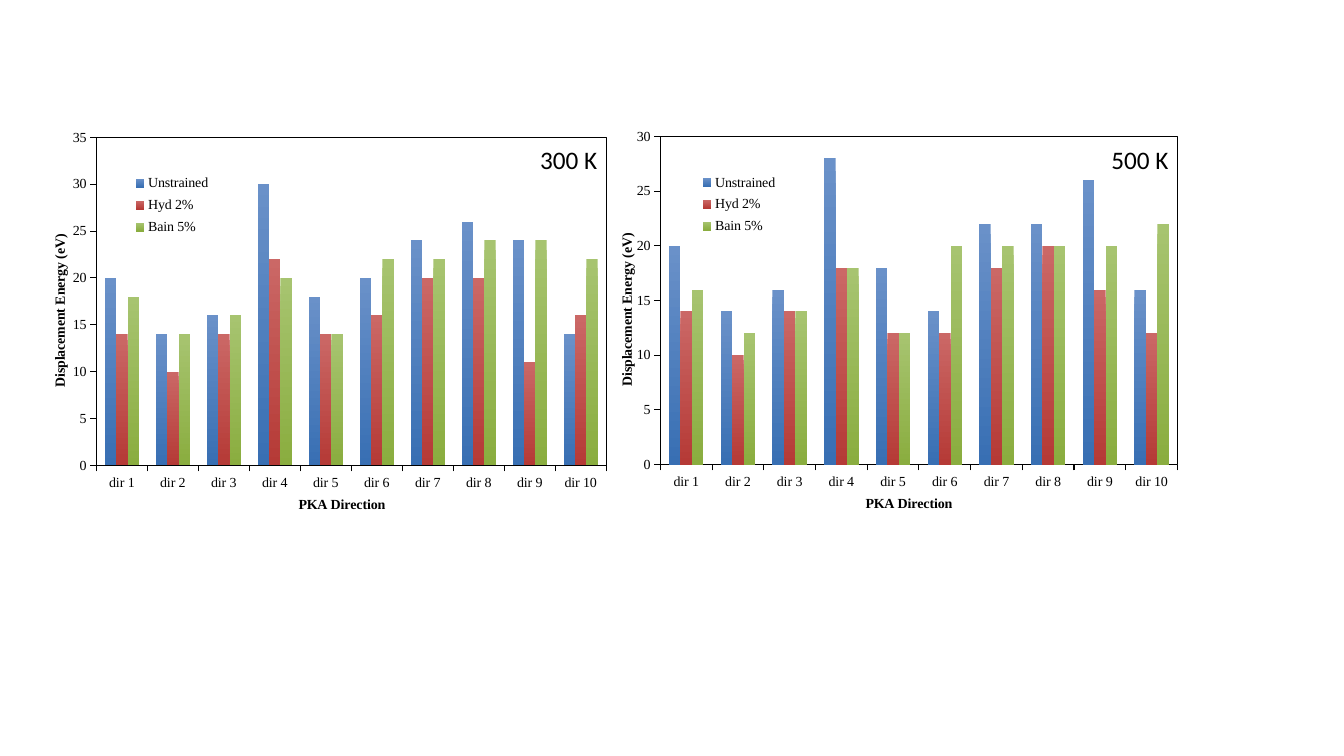
from lxml import etree
from pptx import Presentation
from pptx.chart.data import CategoryChartData as ChartData
from pptx.dml.color import RGBColor
from pptx.enum.chart import XL_CHART_TYPE as ChartType, XL_LEGEND_POSITION as LegendPosition
from pptx.enum.chart import XL_TICK_MARK as TickMark
from pptx.enum.text import MSO_AUTO_SIZE as AutoSize, PP_ALIGN as Align
from pptx.oxml import parse_xml
from pptx.oxml.ns import nsdecls, qn
from pptx.util import Inches, Pt

BLACK = RGBColor(0x00, 0x00, 0x00)
SERIES_COLORS = {
    "Unstrained": (RGBColor(0x6A, 0x91, 0xC9), RGBColor(0x38, 0x6F, 0xB3)),
    "Hyd 2%": (RGBColor(0xCB, 0x68, 0x66), RGBColor(0xB5, 0x3A, 0x36)),
    "Bain 5%": (RGBColor(0xA7, 0xC4, 0x70), RGBColor(0x8A, 0xAD, 0x3F)),
}
DIRECTIONS = [f"dir {number}" for number in range(1, 11)]
COLUMNS, ROWS = 80, 45
PANELS = [
    {
        "label": "300 K", "at": (2.5, 6.75), "label_column": 31, "top_energy": 35,
        "plot": (0.09, 0.06, 0.843, 0.822),
        "energies": [
            [20, 14, 16, 30, 18, 20, 24, 26, 24, 14],
            [14, 10, 14, 22, 14, 16, 20, 20, 11, 16],
            [18, 14, 16, 20, 14, 22, 22, 24, 24, 22],
        ],
    },
    {
        "label": "500 K", "at": (36.25, 6.7), "label_column": 65, "top_energy": 30,
        "plot": (0.085, 0.06, 0.855, 0.822),
        "energies": [
            [20, 14, 16, 28, 18, 14, 22, 22, 26, 16],
            [14, 10, 14, 18, 12, 12, 18, 20, 16, 12],
            [16, 12, 14, 18, 12, 20, 20, 20, 20, 22],
        ],
    },
]


class PageBuilder:
    """Holds the deck, the current page and the shared chart style."""

    chart_font = "Times New Roman"
    label_font = "Calibri"
    line_width = Pt(0.75)

    def __init__(self):
        """Open a widescreen deck with one blank page."""
        self.deck = Presentation()
        self.deck.slide_width, self.deck.slide_height = Inches(13.33), Inches(7.5)
        self.page = self.deck.slides.add_slide(self.deck.slide_layouts[6])

    def area(self, column, row, columns, rows):
        """Turn grid cells into left, top, width and height."""
        across = self.deck.slide_width / COLUMNS
        down = self.deck.slide_height / ROWS
        return [round(size) for size in (column * across, row * down, columns * across, rows * down)]

    def place(self, element, index, shares, inner=False):
        """Give a chart part a fixed place as shares of its chart."""
        for old in element.findall(qn("c:layout")):
            element.remove(old)
        layout = parse_xml(f"<c:layout {nsdecls('c')}><c:manualLayout/></c:layout>")
        settings = [("layoutTarget", "inner")] if inner else []
        settings += [("xMode", "edge"), ("yMode", "edge")]
        settings += zip("xywh", shares)
        for tag, value in settings:
            etree.SubElement(layout[0], qn(f"c:{tag}")).set("val", str(value))
        element.insert(index, layout)

    def style_axis(self, axis, title, corner):
        """Format an axis with its line, ticks and bold title."""
        axis.has_major_gridlines = False
        axis.major_tick_mark = TickMark.OUTSIDE
        axis.minor_tick_mark = TickMark.NONE
        axis.format.line.color.rgb = BLACK
        axis.format.line.width = self.line_width
        para = axis.axis_title.text_frame.paragraphs[0]
        span = para.add_run()
        span.text = title
        self.style_font(span.font, self.chart_font, 10)
        span.font.bold = True
        self.place(axis.axis_title._element, 1, corner)

    def style_font(self, font, name, size):
        """Set the typeface, size and black colour of a font."""
        font.name, font.size, font.color.rgb = name, Pt(size), BLACK

    def energy_chart(self, at, plot, top_energy, energies):
        """Add a clustered column chart of displacement energies."""
        data = ChartData()
        data.categories = DIRECTIONS
        for name, values in zip(SERIES_COLORS, energies):
            data.add_series(name, values)
        box = self.page.shapes.add_chart(ChartType.COLUMN_CLUSTERED, *self.area(*at, 36, 24), data)
        chart = box.chart
        chart.has_title = False
        self.style_font(chart.font, self.chart_font, 10)
        self.style_axis(chart.category_axis, "PKA Direction", (0.42, 0.95))
        self.style_axis(chart.value_axis, "Displacement Energy (eV)", (0.01, 0.3))
        chart.value_axis.minimum_scale, chart.value_axis.maximum_scale = 0, top_energy
        chart.value_axis.major_unit = 5
        self.style_columns(chart.plots[0])
        self.frame_plot(chart, plot)
        chart.has_legend = True
        chart.legend.position = LegendPosition.RIGHT
        chart.legend.include_in_layout = False
        self.place(chart.legend._element, 1, (0.14, 0.14, 0.15, 0.18))

    def style_columns(self, columns):
        """Shade each series from light at the top to dark at the bottom."""
        columns.gap_width, columns.overlap = 150, 0
        columns.vary_by_categories = False
        for series in columns.series:
            series.invert_if_negative = False
            fill = series.format.fill
            fill.gradient()
            fill.gradient_angle = 270
            for stop, color in zip(fill.gradient_stops, SERIES_COLORS[series.name]):
                stop.color.rgb = color

    def frame_plot(self, chart, plot):
        """Fix the plot area and draw its border."""
        plot_area = chart._chartSpace.find(f".//{qn('c:plotArea')}")
        self.place(plot_area, 0, plot, inner=True)
        plot_area.append(parse_xml(
            f"<c:spPr {nsdecls('c', 'a')}><a:noFill/><a:ln w='{self.line_width}'>"
            f"<a:solidFill><a:srgbClr val='{BLACK}'/></a:solidFill></a:ln></c:spPr>"
        ))

    def temperature_label(self, text, column):
        """Add a centred temperature label over a chart."""
        box = self.page.shapes.add_textbox(*self.area(column, 8.3, 5.7, 2.4))
        frame = box.text_frame
        frame.word_wrap = True
        frame.auto_size = AutoSize.SHAPE_TO_FIT_TEXT
        para = frame.paragraphs[0]
        para.alignment = Align.CENTER
        span = para.add_run()
        span.text = text
        self.style_font(span.font, self.label_font, 18)


def main():
    """Build the page and save the deck."""
    builder = PageBuilder()
    for panel in PANELS:
        builder.energy_chart(panel["at"], panel["plot"], panel["top_energy"], panel["energies"])
    for panel in PANELS:
        builder.temperature_label(panel["label"], panel["label_column"])
    builder.deck.save("out.pptx")


if __name__ == "__main__":
    main()
